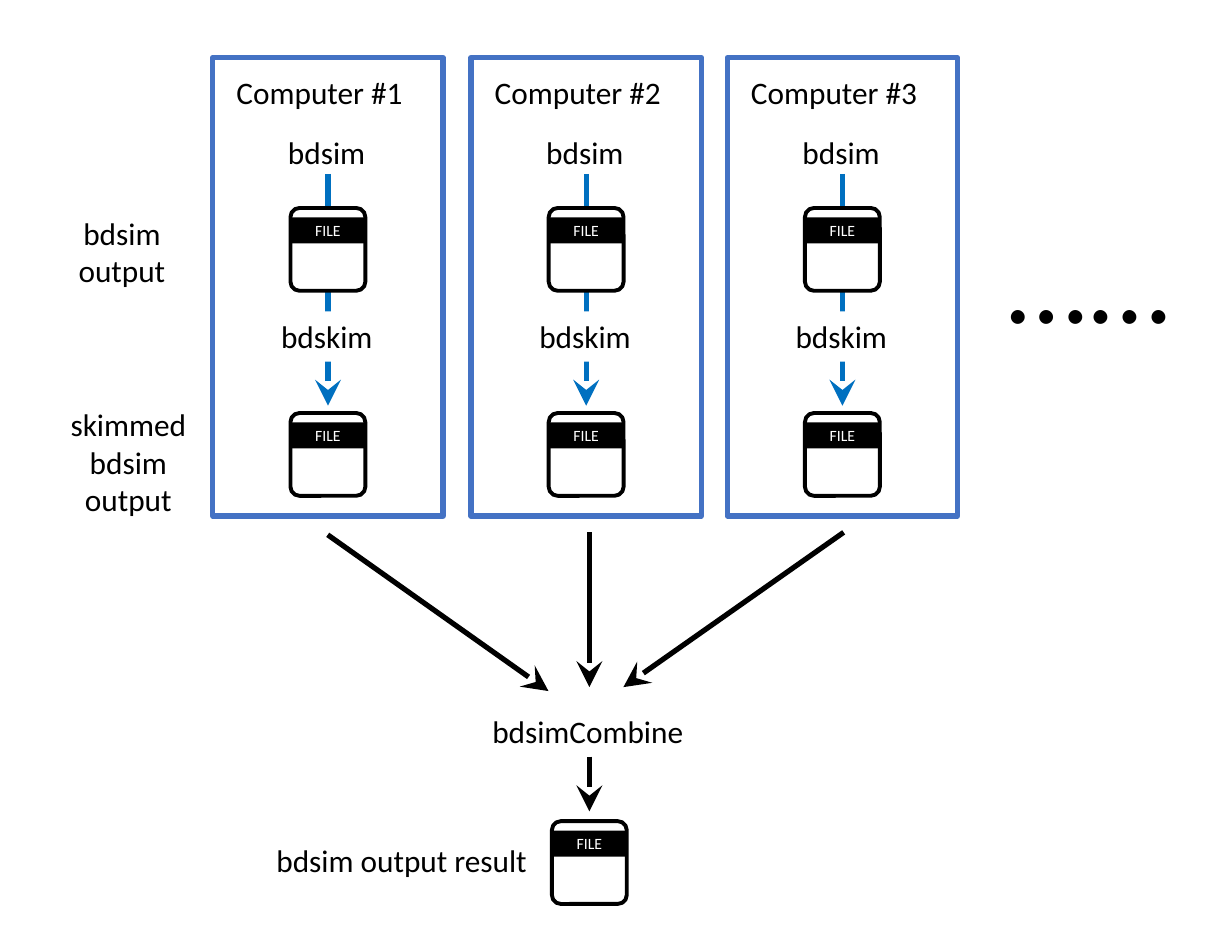
from lxml.etree import SubElement
from pptx import Presentation
from pptx.dml.color import RGBColor
from pptx.enum.shapes import MSO_CONNECTOR, MSO_SHAPE
from pptx.enum.text import MSO_ANCHOR, MSO_AUTO_SIZE, PP_ALIGN
from pptx.oxml.ns import qn
from pptx.util import Cm, Pt

COLORS = {
    "black": "000000",
    "white": "FFFFFF",
    "panel": "4472C4",
    "flow": "0070C0",
}
LABEL_FONT = {"name": "Calibri", "size": Pt(18)}
FILE_FONT = {"name": "Calibri", "size": Pt(9)}
DOTS_FONT = {"name": "Calibri", "size": Pt(66)}
LABEL_FRAME = {"word_wrap": False, "auto_size": MSO_AUTO_SIZE.SHAPE_TO_FIT_TEXT}
FILE_FRAME = {"word_wrap": True, "vertical_anchor": MSO_ANCHOR.MIDDLE}

PANEL_TOP, PANEL_WIDTH, PANEL_HEIGHT = 1.17, 4.67, 9.3
PANEL_LEFTS = [4.32, 9.56, 14.76]
FILE_WIDTH, FILE_HEIGHT = 1.52, 1.68
LABEL_HEIGHT = 1.02
COMBINE_CENTER = 11.96


def color(name):
    return RGBColor.from_string(COLORS[name])


def apply_format(target, values):
    for attribute, value in values.items():
        setattr(target, attribute, value)


def write_text(shape, lines, frame_format, font_format, font_color, alignment):
    frame = shape.text_frame
    apply_format(frame, frame_format)
    for index, line in enumerate(lines):
        paragraph = frame.add_paragraph() if index else frame.paragraphs[0]
        paragraph.alignment = alignment
        run = paragraph.add_run()
        run.text = line
        apply_format(run.font, font_format)
        run.font.color.rgb = color(font_color)


def add_label(shapes, lines, left, top, width, height=LABEL_HEIGHT,
              font_format=LABEL_FONT, alignment=PP_ALIGN.LEFT, fill=None):
    label = shapes.add_textbox(Cm(left), Cm(top), Cm(width), Cm(height))
    if fill:
        label.fill.solid()
        label.fill.fore_color.rgb = color(fill)
    write_text(label, lines, LABEL_FRAME, font_format, "black", alignment)
    return label


def add_box(shapes, kind, left, top, width, height, fill, line=None, line_width=0):
    box = shapes.add_shape(kind, Cm(left), Cm(top), Cm(width), Cm(height))
    box.shadow.inherit = False
    box.fill.solid()
    box.fill.fore_color.rgb = color(fill)
    if line:
        box.line.color.rgb = color(line)
        box.line.width = Pt(line_width)
    else:
        box.line.fill.background()
    return box


def add_file(shapes, left, top):
    page = add_box(shapes, MSO_SHAPE.ROUNDED_RECTANGLE, left, top,
                   FILE_WIDTH, FILE_HEIGHT, "white", "black", 2.25)
    page.adjustments[0] = 0.12
    band = add_box(shapes, MSO_SHAPE.RECTANGLE, left, top + 0.19,
                   FILE_WIDTH, 0.53, "black")
    write_text(band, ["FILE"], FILE_FRAME, FILE_FONT, "white", PP_ALIGN.CENTER)


def add_arrow(shapes, start, end, line_color):
    arrow = shapes.add_connector(MSO_CONNECTOR.STRAIGHT,
                                 *[Cm(value) for value in (*start, *end)])
    arrow.line.color.rgb = color(line_color)
    arrow.line.width = Pt(3)
    SubElement(arrow.line._get_or_add_ln(), qn("a:tailEnd"),
               type="stealth", w="lg", len="lg")
    SubElement(arrow._element.spPr, qn("a:effectLst"))
    return arrow


def add_computer(slide, number, left):
    shapes = slide.shapes.add_group_shape().shapes
    center = left + PANEL_WIDTH / 2
    file_left = center - FILE_WIDTH / 2
    add_box(shapes, MSO_SHAPE.RECTANGLE, left, PANEL_TOP,
            PANEL_WIDTH, PANEL_HEIGHT, "white", "panel", 3)
    add_label(shapes, [f"Computer #{number}"], left + 0.23, 1.37, 3.94)
    # The flow line runs behind the file and the bdskim label
    add_arrow(shapes, (center, 3.53), (center, 8.23), "flow")
    add_label(shapes, ["bdsim"], center - 1.06, 2.57, 2.11)
    add_file(shapes, file_left, 8.38)
    add_label(shapes, ["bdskim"], center - 1.2, 6.32, 2.39, fill="white")
    add_file(shapes, file_left, 4.22)


def main():
    presentation = Presentation()
    presentation.slide_width = Cm(25)
    presentation.slide_height = Cm(19.05)
    slide = presentation.slides.add_slide(presentation.slide_layouts[6])
    shapes = slide.shapes

    # Computers, and dots for further ones
    add_label(shapes, ["…..."], 20.19, 4.11, 3.91, 3.07, DOTS_FONT)
    for number, left in enumerate(PANEL_LEFTS, start=1):
        add_computer(slide, number, left)

    # Arrows from the computers to the combining step
    for start, end in [
        ((COMBINE_CENTER, 10.8), (COMBINE_CENTER, 13.94)),
        ((17.12, 10.8), (12.65, 13.94)),
        ((6.65, 10.85), (11.13, 14.02)),
    ]:
        add_arrow(shapes, start, end, "black")

    # Combining step and its result
    combine = add_label(shapes, ["bdsimCombine"], COMBINE_CENTER - 2.22, 14.33,
                        4.44, fill="white")
    result_arrow = add_arrow(shapes, (COMBINE_CENTER, 15.35),
                             (COMBINE_CENTER, 16.46), "black")
    result_arrow.begin_connect(combine, 2)
    add_file(shapes.add_group_shape().shapes, COMBINE_CENTER - FILE_WIDTH / 2, 16.66)
    add_label(shapes, ["bdsim output result"], 5.36, 16.94, 5.66, fill="white")

    # Row names at the left
    for lines, left, top, width, height in [
        (["skimmed", "bdsim", "output"], 1.17, 8.1, 2.87, 2.57),
        (["bdsim", "output"], 1.32, 4.22, 2.31, 1.8),
    ]:
        add_label(shapes, lines, left, top, width, height,
                  alignment=PP_ALIGN.CENTER, fill="white")

    presentation.save("out.pptx")


if __name__ == "__main__":
    main()
